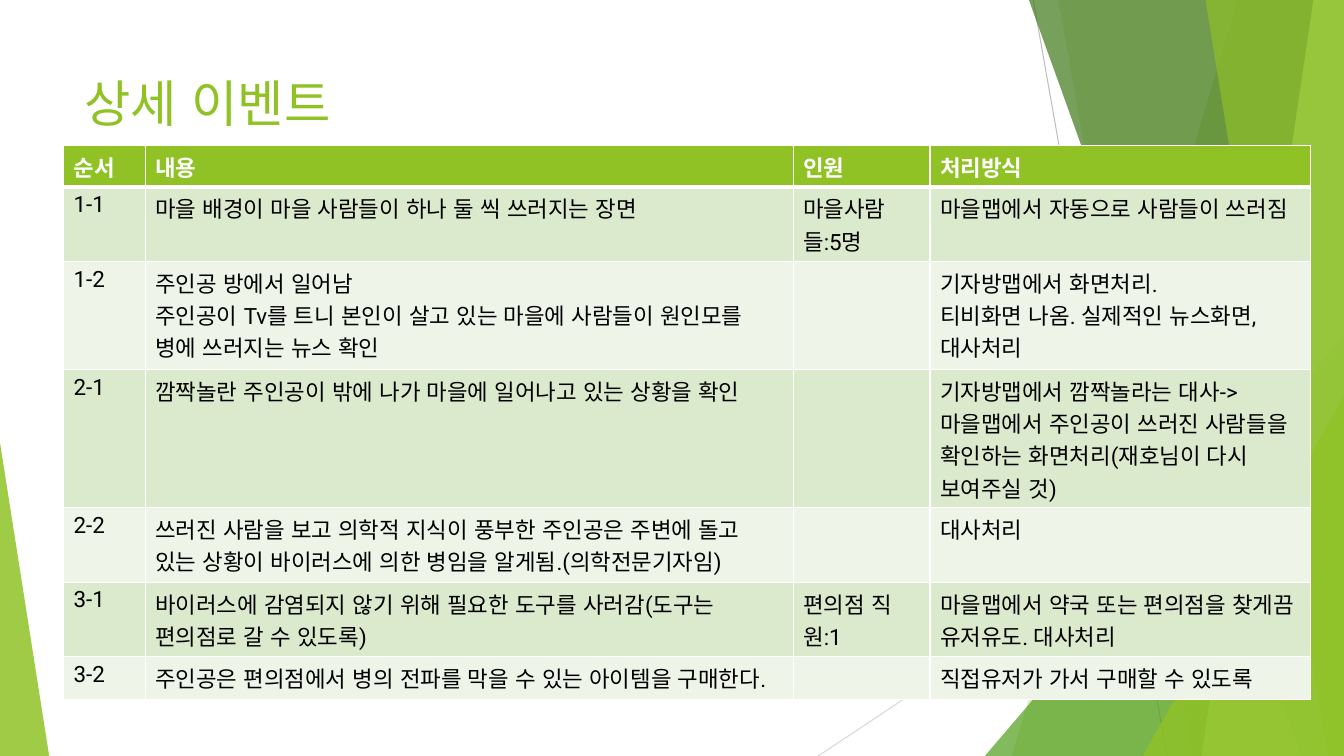
from lxml import etree
from pptx import Presentation
from pptx.dml.color import RGBColor
from pptx.enum.lang import MSO_LANGUAGE_ID
from pptx.enum.shapes import MSO_CONNECTOR, MSO_SHAPE
from pptx.enum.text import MSO_ANCHOR
from pptx.oxml.ns import qn
from pptx.util import Cm, Pt

KOREAN = MSO_LANGUAGE_ID.KOREAN
STRAIGHT = MSO_CONNECTOR.STRAIGHT
TRIANGLE = MSO_SHAPE.ISOSCELES_TRIANGLE
TOP = MSO_ANCHOR.TOP

# Content
TITLE = "상세 이벤트"
ROWS = [
    ("순서", "내용", "인원", "처리방식"),
    ("1-1", "마을 배경이 마을 사람들이 하나 둘 씩 쓰러지는 장면",
     "마을사람들:5명", "마을맵에서 자동으로 사람들이 쓰러짐"),
    ("1-2", "주인공 방에서 일어남\n주인공이 Tv를 트니 본인이 살고 있는 마을에 "
     "사람들이 원인모를 병에 쓰러지는 뉴스 확인",
     "", "기자방맵에서 화면처리.\n티비화면 나옴. 실제적인 뉴스화면, 대사처리"),
    ("2-1", "깜짝놀란 주인공이 밖에 나가 마을에 일어나고 있는 상황을 확인",
     "", "기자방맵에서 깜짝놀라는 대사->마을맵에서 주인공이 쓰러진 사람들을 "
     "확인하는 화면처리(재호님이 다시 보여주실 것)"),
    ("2-2", "쓰러진 사람을 보고 의학적 지식이 풍부한 주인공은 주변에 돌고 있는 "
     "상황이 바이러스에 의한 병임을 알게됨.(의학전문기자임)", "", "대사처리"),
    ("3-1", "바이러스에 감염되지 않기 위해 필요한 도구를 사러감"
     "(도구는 편의점로 갈 수 있도록)",
     "편의점 직원:1", "마을맵에서 약국 또는 편의점을 찾게끔 유저유도. 대사처리"),
    ("3-2", "주인공은 편의점에서 병의 전파를 막을 수 있는 아이템을 구매한다.",
     "", "직접유저가 가서 구매할 수 있도록"),
]

# Sizes in cm
WIDE, HIGH = 33.87, 19.05
COLS = [2.06, 16.33, 3.45, 9.58]
TALL = [1.04, 1.88, 2.72, 3.48, 1.88, 1.88, 1.07]
GREEN = "90C226"
BANDS = ["EEF4E8", "DBE9CD"]

# Backdrop: lines (x1, y1, x2, y2, colour)
LINES = [(26.04, 0, 29.41, HIGH, "BFBFBF"),
         (WIDE, 10.24, 20.62, HIGH, "D9D9D9")]
# Panels reach the right edge: (top x, foot x, colour, opacity)
# Wedges: (left, top, width, height, apex, colour, opacity)
DECOR = [
    (31.19, 25.5, GREEN, 30),
    (26.67, 30.05, GREEN, 20),
    (24.82, 8.46, 9.05, 10.59, 1, "54A021", 72),
    (25.93, 32.79, "3F7819", 70),
    (33.1, 30.28, "C0E474", 70),
    (30.38, 33.48, GREEN, 65),
    (28.8, 9.98, 5.07, 9.07, 1, GREEN, 80),
    (0, 11.15, 1.24, 7.9, 0, GREEN, 85),
]


def rgb(code):
    return RGBColor.from_string(code)


def tint(shape, code, alpha):
    shape.shadow.inherit = False
    shape.line.fill.background()
    shape.fill.solid()
    shape.fill.fore_color.rgb = rgb(code)
    mark = next(shape.fill._xPr.iter(qn("a:srgbClr")))
    etree.SubElement(mark, qn("a:alpha"), val=str(alpha * 1000))


def style(frame, size, code, bold=False):
    for para in frame.paragraphs:
        para.font.size = Pt(size)
        for run in para.runs:
            font = run.font
            font.name, font.size, font.bold = "Roboto", Pt(size), bold
            font.color.rgb = rgb(code)
            font.language_id = KOREAN


def edge(cell, foot):
    props = cell._tc.get_or_add_tcPr()
    for side, width in (("L", 1), ("R", 1), ("T", 1), ("B", foot)):
        line = etree.SubElement(props, qn("a:ln" + side), w=str(Pt(width)))
        fill = etree.SubElement(line, qn("a:solidFill"))
        etree.SubElement(fill, qn("a:srgbClr"), val="FFFFFF")


deck = Presentation()
deck.slide_width, deck.slide_height = Cm(WIDE), Cm(HIGH)
slide = deck.slides.add_slide(deck.slide_layouts[6])
shapes = slide.shapes

# Backdrop
for *ends, code in LINES:
    line = shapes.add_connector(STRAIGHT, *map(Cm, ends))
    line.line.color.rgb = rgb(code)
    line.line.width = Pt(0.75)
    etree.SubElement(line._element.spPr, qn("a:effectLst"))

for *place, code, alpha in DECOR:
    if len(place) == 2:
        head, foot = place
        pen = shapes.build_freeform(Cm(head), 0)
        pen.add_line_segments([(Cm(WIDE), 0), (Cm(WIDE), Cm(HIGH)),
                               (Cm(foot), Cm(HIGH))], close=True)
        part = pen.convert_to_shape()
    else:
        *box, apex = place
        part = shapes.add_shape(TRIANGLE, *map(Cm, box))
        part.adjustments[0] = apex
    tint(part, code, alpha)

# Title
title = shapes.add_textbox(Cm(1.88), Cm(1.7), Cm(23.88), Cm(3.66)).text_frame
title.word_wrap = True
title.vertical_anchor = TOP
title.text = TITLE
style(title, 36, GREEN)

# Event table
table = shapes.add_table(len(ROWS), len(COLS), Cm(1.6), Cm(3.67),
                         Cm(sum(COLS)), Cm(sum(TALL))).table
for col, width in zip(table.columns, COLS):
    col.width = Cm(width)
for i, texts in enumerate(ROWS):
    table.rows[i].height = Cm(TALL[i])
    top = i == 0
    for j, text in enumerate(texts):
        cell = table.cell(i, j)
        cell.text_frame.text = text
        style(cell.text_frame, 16, "FFFFFF" if top else "000000", top)
        edge(cell, 3 if top else 1)
        cell.fill.solid()
        cell.fill.fore_color.rgb = rgb(GREEN if top else BANDS[i % 2])

deck.save("out.pptx")
